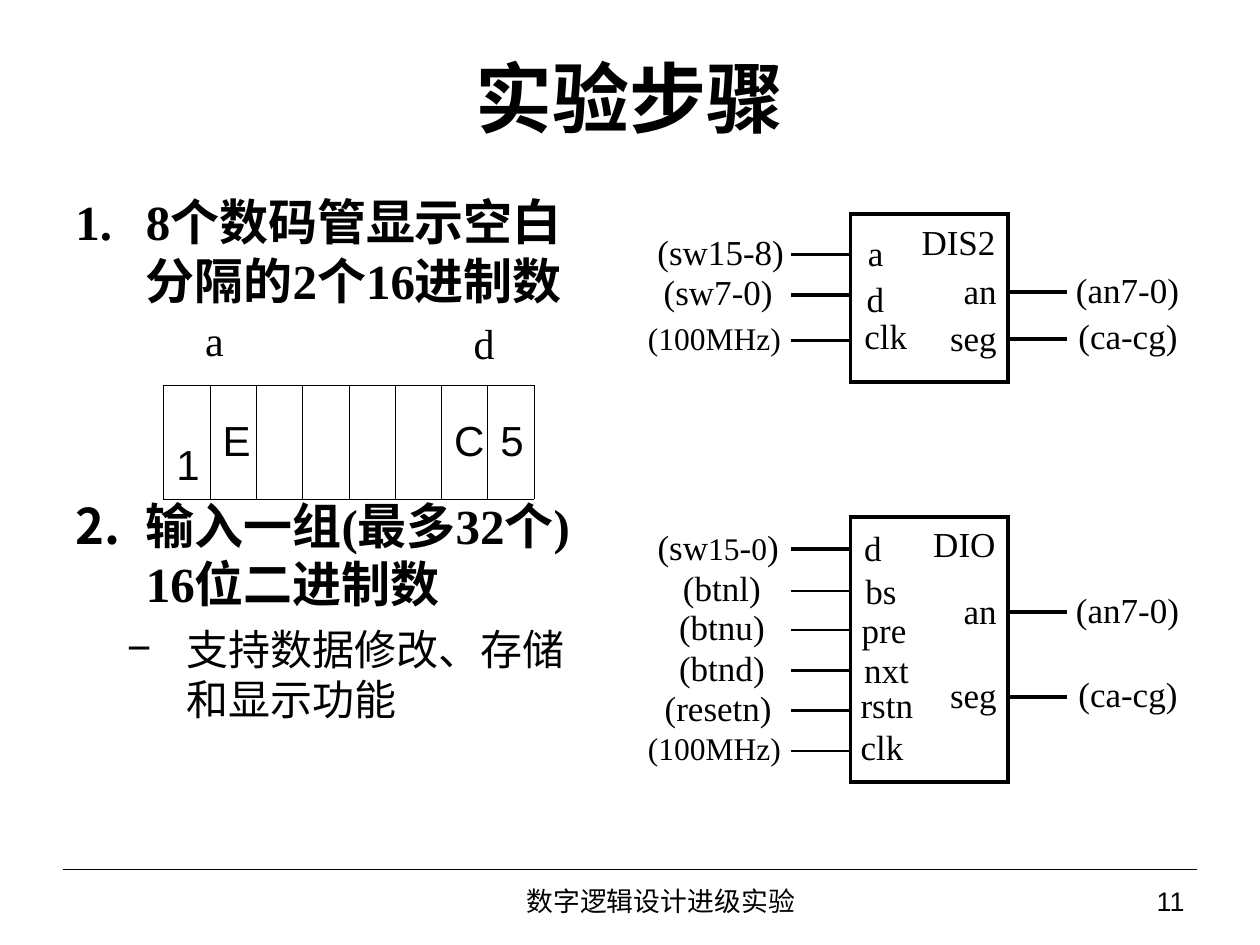
"""Build the lab-steps slide with its digit table and two module diagrams."""
from lxml import etree
from pptx import Presentation
from pptx.dml.color import RGBColor
from pptx.enum.shapes import MSO_CONNECTOR, MSO_SHAPE
from pptx.enum.text import MSO_ANCHOR, MSO_AUTO_SIZE, PP_ALIGN
from pptx.oxml.ns import qn
from pptx.util import Inches, Pt

CENTER, RIGHT = PP_ALIGN.CENTER, PP_ALIGN.RIGHT
TOP, MIDDLE = MSO_ANCHOR.TOP, MSO_ANCHOR.MIDDLE
GROW, FIXED = MSO_AUTO_SIZE.SHAPE_TO_FIT_TEXT, MSO_AUTO_SIZE.NONE
STRAIGHT, RECTANGLE = MSO_CONNECTOR.STRAIGHT, MSO_SHAPE.RECTANGLE

THEME = {
    "ink": "000000", "paper": "FFFFFF", "serif": "Times New Roman", "sans": "Arial",
    "title": 44, "step": 28, "detail": 24, "label": 20, "clock": 18, "footer": 15.3,
    "thick": 2.25, "thin": 1.5, "rule": 0.75, "grid": 0.45,
}
INK = RGBColor.from_string(THEME["ink"])
PAPER = RGBColor.from_string(THEME["paper"])

TITLE = "实验步骤"
STEPS = [
    {"at": (0.5, 1.47, 4.43, 1.88), "number": 1, "step": "8个数码管显示空白分隔的2个16进制数"},
    {"at": (0.5, 3.88, 4.37, 2.15), "number": 2, "step": "输入一组(最多32个) 16位二进制数",
     "detail": "支持数据修改、存储和显示功能"},
]
DIGITS = [" 1", "E", "", "", "", "", "C", "5"]
DIGIT_LABELS = [("a", (1.53, 2.45, 0.32, 0.5)), ("d", (3.66, 2.47, 0.32, 0.5))]
FOOTERS = [("数字逻辑设计进级实验", (2.83, 6.98, 4.83, 0.37), CENTER),
           ("11", (7.75, 6.98, 1.75, 0.37), RIGHT)]

WIDE, NARROW, CLOCK_SPAN = (5.7, 1.27), (5.73, 0.9), (5.67, 1.27)
CLOCK = [("(100MHz)", THEME["clock"])]
MODULES = [
    {"name": "DIS2", "box": (6.75, 1.7, 1.25, 1.33),
     "inputs": [
         ("(sw15-8)", (5.72, 1.27), 2.02, "thick", "a", (6.79, 1.72, 0.32)),
         ("(sw7-0)", WIDE, 2.34, "thick", "d", (6.78, 2.08, 0.34)),
         (CLOCK, CLOCK_SPAN, 2.7, "thin", "clk", (6.86, 2.5, 0.34))],
     "outputs": [("an", 0.46, 2.32, "(an7-0)", 8.44), ("seg", 0.57, 2.69, "(ca-cg)", 8.46)]},
    {"name": "DIO", "box": (6.75, 4.1, 1.25, 2.11),
     "inputs": [
         ([("(sw", 20), ("15", 18), ("-", 20), ("0", 18), (")", 20)],
          WIDE, 4.36, "thick", "d", (6.76, 4.06, 0.34)),
         ("(btnl)", NARROW, 4.69, "thin", "bs", (6.77, 4.4, 0.45)),
         ("(btnu)", NARROW, 5, "thin", "pre", (6.74, 4.71, 0.62)),
         ("(btnd)", NARROW, 5.32, "thin", "nxt", (6.76, 5.03, 0.62)),
         ("(resetn)", WIDE, 5.64, "thin", "rstn", (6.83, 5.43, 0.42)),
         (CLOCK, CLOCK_SPAN, 5.96, "thin", "clk", (6.83, 5.76, 0.34))],
     "outputs": [("an", 0.46, 4.86, "(an7-0)", 8.44), ("seg", 0.57, 5.53, "(ca-cg)", 8.46)]},
]
FLUSH_PINS = {"clk", "rstn"}
WIRE_LENGTH = 0.47


def inches(values):
    return [Inches(value) for value in values]


def set_values(target, values):
    for key, value in values.items():
        setattr(target, key, value)


def write(paragraph, content, size, font="serif", bold=False, **layout):
    set_values(paragraph, layout)
    runs = content if isinstance(content, list) else [(content, size)]
    for words, points in runs:
        run = paragraph.add_run()
        run.text = words
        set_values(run.font, {"size": Pt(points), "name": THEME[font], "bold": bold})
        run.font.color.rgb = INK


def add_label(shapes, at, content, size=THEME["label"], font="serif", frame=None, **layout):
    label = shapes.add_textbox(*inches(at))
    set_values(label.text_frame, {"word_wrap": True, "auto_size": GROW, **(frame or {})})
    write(label.text_frame.paragraphs[0], content, size, font, **layout)


def add_line(shapes, start, end, weight):
    line = shapes.add_connector(STRAIGHT, *inches(start + end))
    line.line.color.rgb = INK
    line.line.width = Pt(THEME[weight])
    etree.SubElement(line._element.spPr, qn("a:effectLst"))


def add_bullet(paragraph, margin, hanging, tag, font=None, **attributes):
    properties = paragraph._p.get_or_add_pPr()
    properties.set("marL", str(Inches(margin)))
    properties.set("indent", str(-Inches(hanging)))
    color = etree.SubElement(properties, qn("a:buClr"))
    etree.SubElement(color, qn("a:srgbClr"), val=THEME["ink"])
    if font:
        etree.SubElement(properties, qn("a:buFont"), typeface=THEME[font])
    etree.SubElement(properties, qn(tag), **attributes)


def add_step(shapes, step):
    frame = shapes.add_textbox(*inches(step["at"])).text_frame
    frame.word_wrap = True
    heading = frame.paragraphs[0]
    write(heading, step["step"], THEME["step"], bold=True, space_after=Pt(6))
    add_bullet(heading, 0.56, 0.56, "a:buAutoNum", type="arabicPeriod", startAt=str(step["number"]))
    if "detail" in step:
        detail = frame.add_paragraph()
        write(detail, step["detail"], THEME["detail"], level=1, space_after=Pt(6))
        add_bullet(detail, 0.88, 0.47, "a:buChar", "sans", char="−")


def add_digits(shapes):
    table = shapes.add_table(1, len(DIGITS), *inches((1.3, 3.06, 2.94, 0.53))).table
    set_values(table, {"first_row": False, "horz_banding": False})
    for column, digit in enumerate(DIGITS):
        table.columns[column].width = Inches(2.94 / len(DIGITS))
        cell = table.cell(0, column)
        cell.vertical_anchor = MIDDLE
        if digit:
            write(cell.text_frame.paragraphs[0], digit, THEME["detail"], "sans", alignment=CENTER)
        properties = cell._tc.get_or_add_tcPr()
        for side in ("a:lnL", "a:lnR", "a:lnT", "a:lnB"):
            border = etree.SubElement(properties, qn(side), w=str(Pt(THEME["grid"])))
            fill = etree.SubElement(border, qn("a:solidFill"))
            etree.SubElement(fill, qn("a:srgbClr"), val=THEME["ink"])
        cell.fill.solid()
        cell.fill.fore_color.rgb = PAPER


def add_module(shapes, module):
    left, _, width, _ = module["box"]
    right = left + width
    group = shapes.add_group_shape().shapes
    body = group.add_shape(RECTANGLE, *inches(module["box"]))
    body.shadow.inherit = False
    body.fill.background()
    body.line.color.rgb = INK
    body.line.width = Pt(THEME["thick"])
    etree.SubElement(body.line._get_or_add_ln(), qn("a:miter"), lim="800000")
    set_values(body.text_frame, {"word_wrap": False, "vertical_anchor": TOP})
    write(body.text_frame.paragraphs[0], module["name"], THEME["label"], alignment=RIGHT)

    flush = {"word_wrap": False, "vertical_anchor": MIDDLE, "margin_left": 0,
             "margin_right": 0, "margin_top": 0, "margin_bottom": 0}
    for signal, (center, span), y, weight, pin, pin_at in module["inputs"]:
        height = 0.4 if signal is CLOCK else 0.44
        add_label(group, (center - span / 2, y - 0.02 - height / 2, span, height), signal,
                  alignment=CENTER)
        add_line(group, (left - WIRE_LENGTH, y), (left, y), weight)
        if pin in FLUSH_PINS:
            add_label(group, (*pin_at, 0.33), pin, frame=flush)
        else:
            add_label(group, (*pin_at, 0.51), pin, frame={"word_wrap": False}, line_spacing=Pt(29))
    for pin, span, y, signal, signal_left in module["outputs"]:
        add_label(group, (right + 0.01 - span, y - 0.3, span, 0.51), pin,
                  frame={"word_wrap": False}, alignment=RIGHT, line_spacing=Pt(29))
        add_line(group, (right, y), (right + WIRE_LENGTH, y), "thick")
        add_label(group, (signal_left, y - 0.24, 1.02, 0.44), signal)


def main():
    deck = Presentation()
    set_values(deck, {"slide_width": Inches(10), "slide_height": Inches(7.5)})
    slide = deck.slides.add_slide(deck.slide_layouts[5])
    shapes = slide.shapes
    title = shapes.title
    set_values(title, dict(zip(("left", "top", "width", "height"), inches((0.5, 0.3, 9, 0.93)))))
    title.text_frame.vertical_anchor = MIDDLE
    write(title.text_frame.paragraphs[0], TITLE, THEME["title"], bold=True, alignment=CENTER)

    add_line(shapes, (0.5, 6.9), (9.5, 6.9), "rule")
    for step in STEPS:
        add_step(shapes, step)
    for module in MODULES:
        add_module(shapes, module)
    add_digits(shapes)
    for letter, at in DIGIT_LABELS:
        add_label(shapes, at, letter, THEME["detail"])
    for words, at, alignment in FOOTERS:
        add_label(shapes, at, words, THEME["footer"], "sans",
                  {"vertical_anchor": MIDDLE, "auto_size": FIXED},
                  alignment=alignment, line_spacing=0.9)
    deck.save("out.pptx")


if __name__ == "__main__":
    main()
